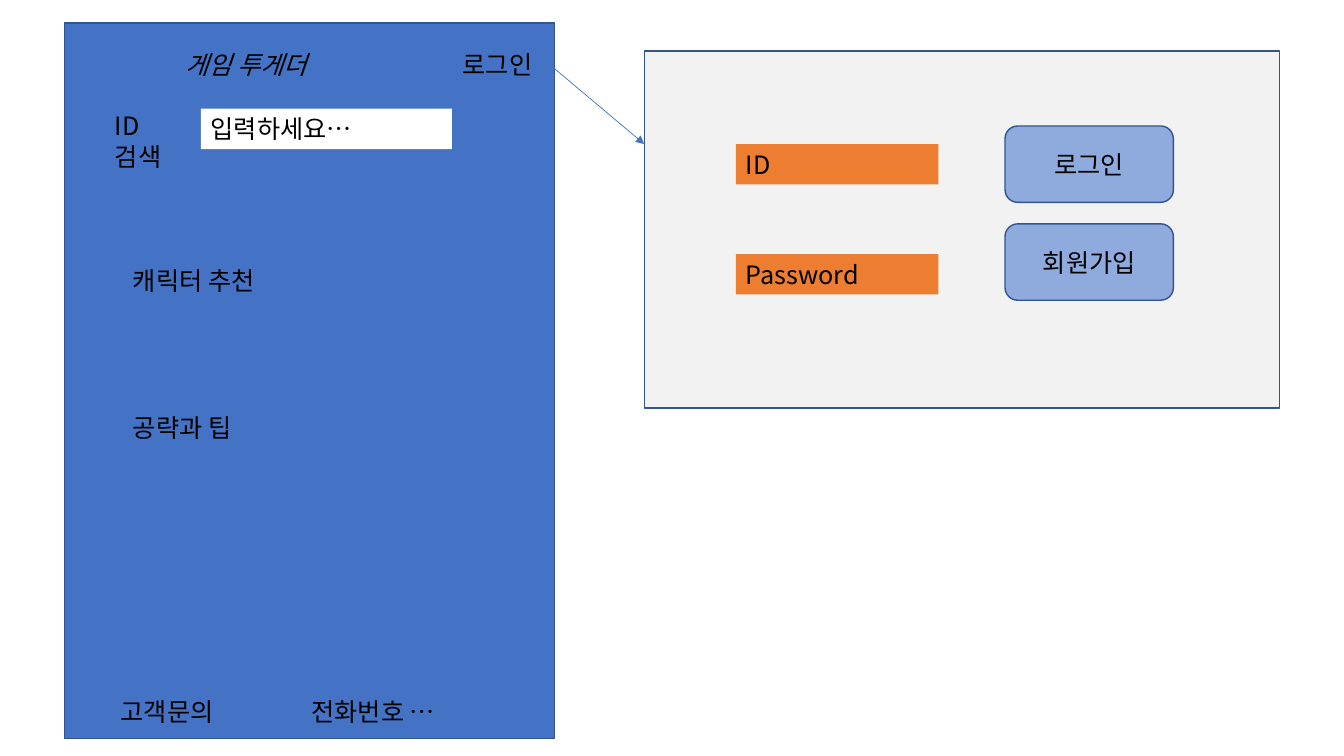
from dataclasses import dataclass

from lxml import etree
from pptx import Presentation
from pptx.dml.color import RGBColor
from pptx.enum.shapes import MSO_CONNECTOR, MSO_SHAPE
from pptx.enum.text import MSO_ANCHOR, MSO_AUTO_SIZE, PP_ALIGN
from pptx.oxml.ns import qn
from pptx.util import Inches, Pt

RECTANGLE = MSO_SHAPE.RECTANGLE
ROUNDED = MSO_SHAPE.ROUNDED_RECTANGLE
STRAIGHT = MSO_CONNECTOR.STRAIGHT
FIT_TEXT = MSO_AUTO_SIZE.SHAPE_TO_FIT_TEXT
MIDDLE, TOP = MSO_ANCHOR.MIDDLE, MSO_ANCHOR.TOP
CENTER, LEFT = PP_ALIGN.CENTER, PP_ALIGN.LEFT

SLIDE_WIDTH, SLIDE_HEIGHT = Inches(13.333), Inches(7.5)
COLUMNS, ROWS = 32, 18
LINE_ROWS = 0.96  # height of a one-line box
BLANK_LAYOUT = 6


@dataclass(frozen=True)
class Theme:
    font: str = "Noto Sans CJK KR"
    text_size: float = 18
    text: str = "000000"
    app: str = "4472C4"
    dialog: str = "F2F2F2"
    field: str = "ED7D31"
    search: str = "FFFFFF"
    button: str = "8FAADC"
    outline: str = "325491"
    arrow: str = "4472C4"
    outline_width: float = 1
    arrow_width: float = 0.5


THEME = Theme()


@dataclass(frozen=True)
class Box:
    """An area in grid columns and rows."""
    left: float
    top: float
    width: float
    height: float = LINE_ROWS

    def inside(self, left, top, width, height=LINE_ROWS):
        return Box(self.left + left, self.top + top, width, height)

    def lengths(self):
        return (across(self.left), down(self.top),
                across(self.width), down(self.height))


def across(columns):
    return round(SLIDE_WIDTH * columns / COLUMNS)


def down(rows):
    return round(SLIDE_HEIGHT * rows / ROWS)


def color(value):
    return RGBColor.from_string(value)


def write(shape, text, italic=False, align=LEFT, anchor=TOP):
    frame = shape.text_frame
    frame.text = text
    frame.vertical_anchor = anchor
    for paragraph in frame.paragraphs:
        paragraph.alignment = align
        for run in paragraph.runs:
            font = run.font
            font.name = THEME.font
            font.size = Pt(THEME.text_size)
            font.color.rgb = color(THEME.text)
            if italic:
                font.italic = True
            east_asian = etree.SubElement(font._element, qn("a:ea"))
            east_asian.set("typeface", THEME.font)


def add_panel(slide, box, fill, outlined=True, kind=RECTANGLE):
    shape = slide.shapes.add_shape(kind, *box.lengths())
    shape.shadow.inherit = False
    shape.fill.solid()
    shape.fill.fore_color.rgb = color(fill)
    if outlined:
        shape.line.color.rgb = color(THEME.outline)
        shape.line.width = Pt(THEME.outline_width)
    else:
        shape.line.fill.background()
    return shape


def add_label(slide, box, text, italic=False):
    label = slide.shapes.add_textbox(*box.lengths())
    write(label, text, italic)
    label.text_frame.word_wrap = False
    label.text_frame.auto_size = FIT_TEXT


def add_field(slide, box, text, fill):
    field = add_panel(slide, box, fill, outlined=False)
    write(field, text)
    field.text_frame.word_wrap = True
    field.text_frame.auto_size = FIT_TEXT


def add_button(slide, box, text):
    button = add_panel(slide, box, THEME.button, kind=ROUNDED)
    write(button, text, align=CENTER, anchor=MIDDLE)


def add_app_screen(slide, box):
    """Draw the main screen and return the box of its login label."""
    add_panel(slide, box, THEME.app)
    header, footer, section = 0.5, 15.91, 1.39
    login = box.inside(9.24, header, 2.3)
    add_label(slide, login, "로그인")
    add_label(slide, box.inside(2.64, header, 3.72), "게임 투게더", italic=True)
    add_label(slide, box.inside(0.96, 1.97, 2.3), "ID\v검색")
    add_field(slide, box.inside(3.24, 2.04, 5.98), "입력하세요…", THEME.search)
    add_label(slide, box.inside(section, 5.66, 3.72), "캐릭터 추천")
    add_label(slide, box.inside(section, 9.14, 3.12), "공략과 팁")
    add_label(slide, box.inside(1.1, footer, 2.9), "고객문의")
    add_label(slide, box.inside(5.64, footer, 3.58), "전화번호 …")
    return login


def add_login_dialog(slide, box):
    """Draw the login dialog and return the box of its first field."""
    add_panel(slide, box, THEME.dialog)
    first_field = box.inside(2.18, 2.21, 4.82)
    first_button = box.inside(8.59, 1.78, 4.01, 1.82)
    for index, text in enumerate(("ID", "Password")):
        place = first_field.inside(0, index * 2.62, first_field.width)
        add_field(slide, place, text, THEME.field)
    for index, text in enumerate(("로그인", "회원가입")):
        place = first_button.inside(0, index * 2.33, first_button.width,
                                    first_button.height)
        add_button(slide, place, text)
    return first_field


def add_arrow(slide, start, end):
    arrow = slide.shapes.add_connector(
        STRAIGHT, across(start[0]), down(start[1]), across(end[0]), down(end[1]))
    arrow.line.color.rgb = color(THEME.arrow)
    arrow.line.width = Pt(THEME.arrow_width)
    etree.SubElement(arrow.line._get_or_add_ln(), qn("a:tailEnd")).set("type", "triangle")
    etree.SubElement(arrow._element.spPr, qn("a:effectLst"))


def main():
    presentation = Presentation()
    presentation.slide_width, presentation.slide_height = SLIDE_WIDTH, SLIDE_HEIGHT
    slide = presentation.slides.add_slide(presentation.slide_layouts[BLANK_LAYOUT])
    dialog = Box(15.34, 1.22, 15.12, 8.5)
    login = add_app_screen(slide, Box(1.54, 0.55, 11.66, 17.04))
    field = add_login_dialog(slide, dialog)
    add_arrow(slide, (login.left + login.width, login.top + login.height / 2),
              (dialog.left, field.top))
    presentation.save("out.pptx")


if __name__ == "__main__":
    main()
